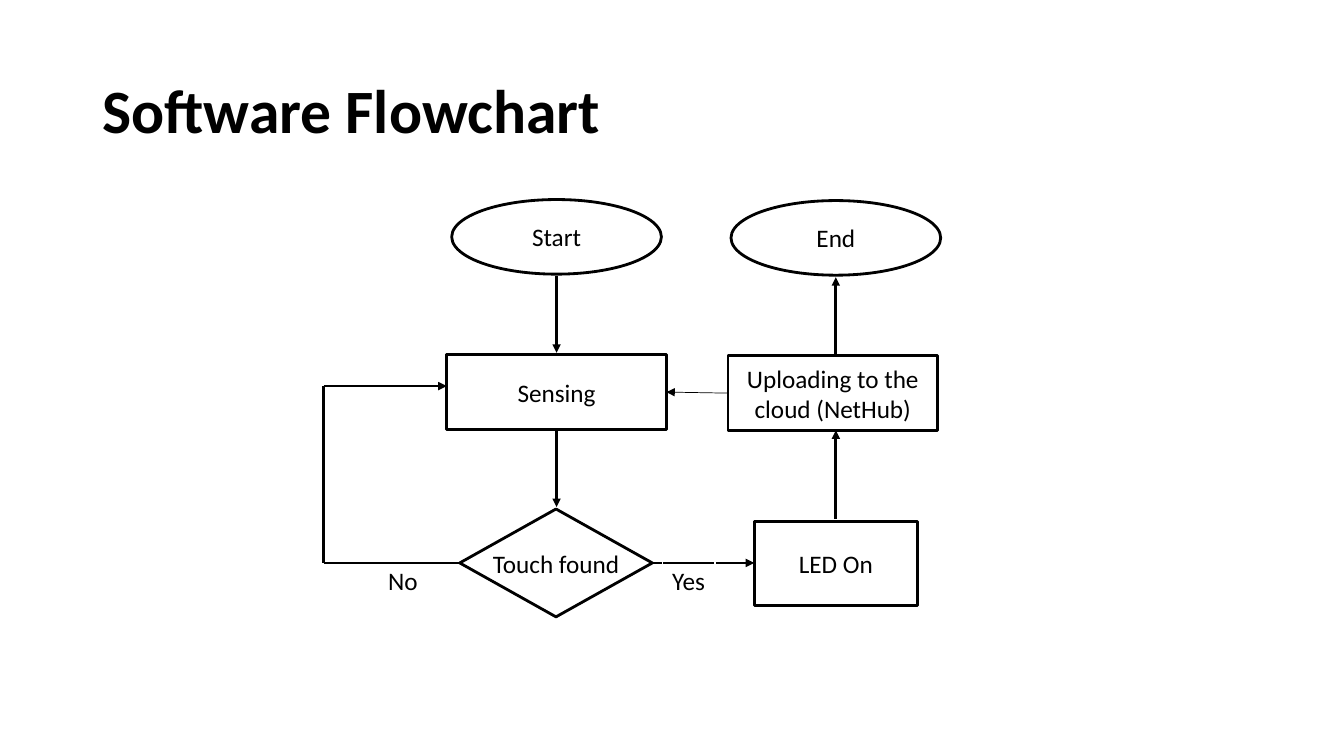
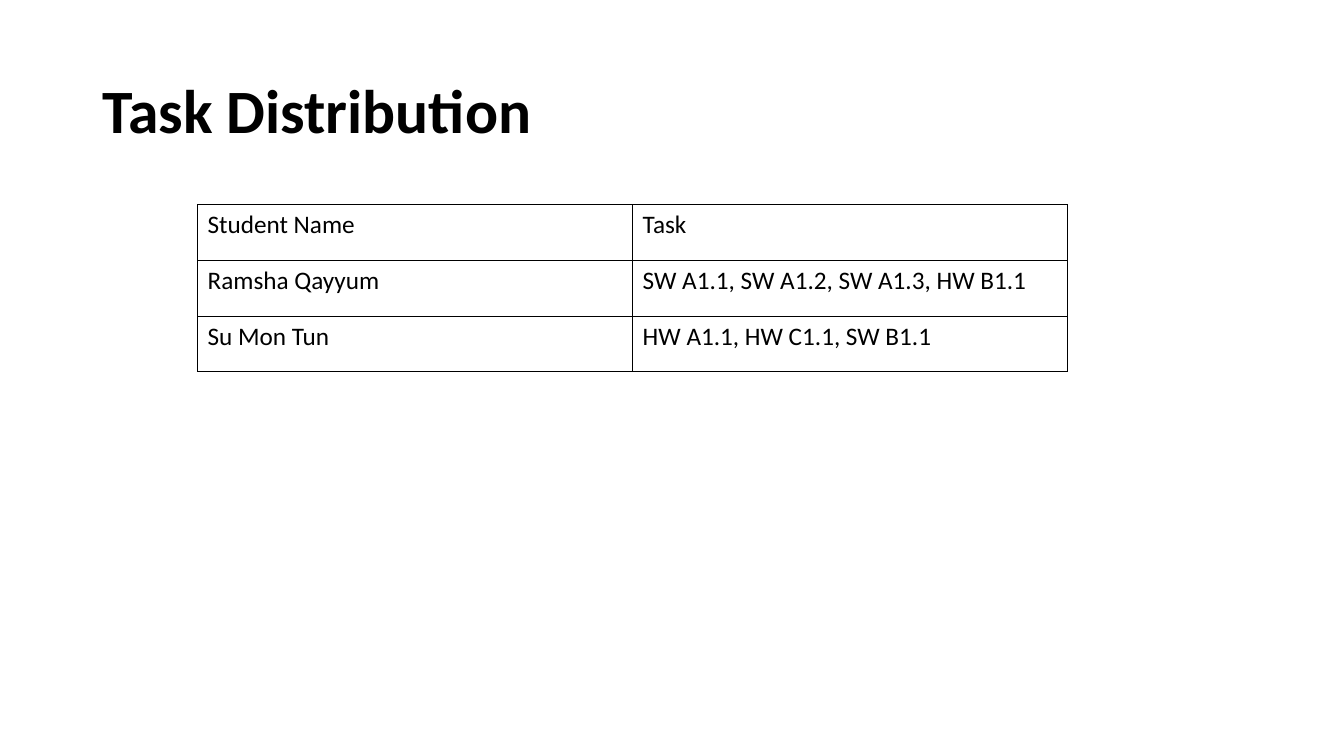
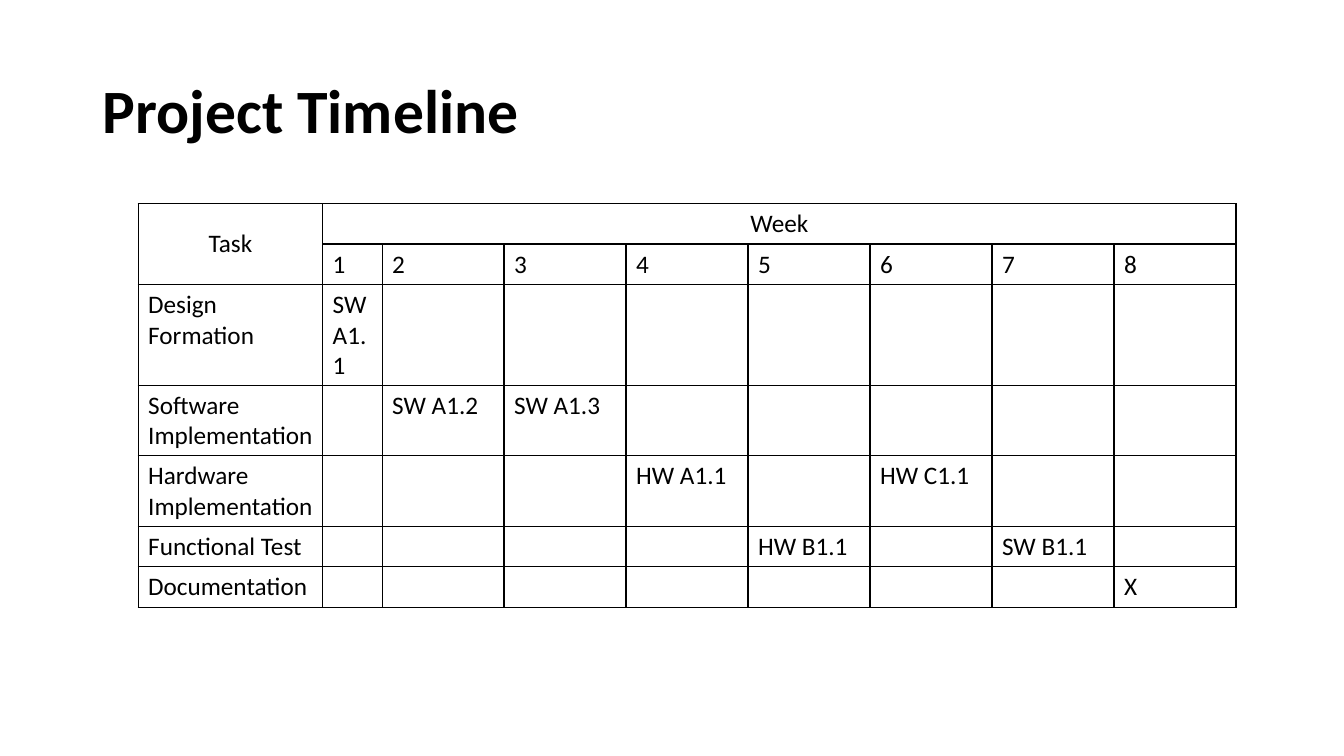
from dataclasses import dataclass

from pptx import Presentation
from pptx.dml.color import RGBColor
from pptx.enum.shapes import MSO_CONNECTOR, MSO_SHAPE
from pptx.enum.text import MSO_ANCHOR, MSO_AUTO_SIZE, PP_ALIGN
from pptx.oxml import parse_xml
from pptx.oxml.ns import nsdecls
from pptx.util import Inches, Pt


@dataclass(frozen=True)
class Theme:
    font: str = "Calibri"
    ink: str = "000000"
    paper: str = "FFFFFF"
    title_size: int = 44
    body_size: int = 18
    outline: float = 2
    border: float = 1
    hairline: float = 0.5
    inset: float = 0.06
    gap: float = 0.02


@dataclass(frozen=True)
class Box:
    left: float
    top: float
    width: float
    height: float

    @property
    def right(self):
        return self.left + self.width

    @property
    def bottom(self):
        return self.top + self.height

    @property
    def center(self):
        return self.left + self.width / 2

    @property
    def middle(self):
        return self.top + self.height / 2

    def inner(self, dx, dy, width, height):
        return Box(self.left + dx, self.top + dy, width, height)

    def emu(self):
        return [Inches(v) for v in (self.left, self.top, self.width, self.height)]


THEME = Theme()
TITLE_BOX = Box(0.92, 0.4, 11.5, 1.45)
FLOW_BOX = Box(3.21, 1.98, 6.12, 4.14)
TASK_BOX = Box(1.96, 2.03, 8.63, 1.66)
TIMELINE_BOX = Box(1.37, 2.02, 10.89, 3.96)


def color(value):
    return RGBColor.from_string(value)


def write(paragraph, text, size=THEME.body_size, bold=False, align=None):
    paragraph.alignment = align
    run = paragraph.add_run()
    run.text = text
    run.font.name = THEME.font
    run.font.size = Pt(size)
    run.font.bold = bold
    run.font.color.rgb = color(THEME.ink)


def add_title(slide, box, text):
    frame = slide.shapes.add_textbox(*box.emu()).text_frame
    frame.word_wrap = True
    frame.vertical_anchor = MSO_ANCHOR.MIDDLE
    heading = frame.paragraphs[0]
    heading.line_spacing = 0.9
    write(heading, text, THEME.title_size, bold=True)


def style_node(node, text, ink=THEME.ink, width=THEME.outline, filled=True):
    node.shadow.inherit = False
    if filled:
        node.fill.solid()
        node.fill.fore_color.rgb = color(THEME.paper)
    else:
        node.fill.background()
    node.line.color.rgb = color(ink)
    node.line.width = Pt(width)
    frame = node.text_frame
    frame.word_wrap = True
    frame.vertical_anchor = MSO_ANCHOR.MIDDLE
    frame.margin_left = frame.margin_right = Inches(THEME.inset)
    frame.margin_top = frame.margin_bottom = Inches(THEME.inset)
    write(frame.paragraphs[0], text, align=PP_ALIGN.CENTER)


def add_node(slide, preset, box, text):
    style_node(slide.shapes.add_shape(preset, *box.emu()), text)


def add_decision(slide, box, text):
    outline = slide.shapes.build_freeform(Inches(box.left), Inches(box.middle))
    corners = [(box.center, box.bottom), (box.right, box.middle), (box.center, box.top)]
    outline.add_line_segments([(Inches(x), Inches(y)) for x, y in corners], close=True)
    style_node(outline.convert_to_shape(), text)


def add_branch_label(slide, box, text):
    label = slide.shapes.add_shape(MSO_SHAPE.RECTANGLE, *box.emu())
    style_node(label, text, THEME.paper, THEME.border, filled=False)
    label.text_frame.auto_size = MSO_AUTO_SIZE.SHAPE_TO_FIT_TEXT


def add_flow(slide, start, end, width=THEME.outline, arrow=True):
    flow = slide.shapes.add_connector(
        MSO_CONNECTOR.STRAIGHT, *[Inches(v) for v in (*start, *end)]
    )
    flow.line.color.rgb = color(THEME.ink)
    flow.line.width = Pt(width)
    properties = flow._element.spPr
    if arrow:
        properties.ln.append(parse_xml(f'<a:tailEnd {nsdecls("a")} type="triangle"/>'))
    properties.append(parse_xml(f'<a:effectLst {nsdecls("a")}/>'))


def add_flowchart(slide, box):
    gap = THEME.gap
    start = box.inner(1.27, 0, 2.08, 0.74)
    sensing = box.inner(1.22, 1.54, 2.18, 0.74)
    touch = box.inner(1.35, 3.07, 1.91, 1.07)
    led = box.inner(4.27, 3.19, 1.62, 0.84)
    upload = box.inner(4.01, 1.55, 2.08, 0.74)
    end = box.inner(4.04, 0.01, 2.08, 0.74)
    loop_end = sensing.middle - 0.06

    add_node(slide, MSO_SHAPE.OVAL, start, "Start")
    add_node(slide, MSO_SHAPE.RECTANGLE, sensing, "Sensing")
    add_decision(slide, touch, "Touch found")
    for upper, lower in ((start, sensing), (sensing, touch)):
        add_flow(slide, (start.center, upper.bottom + gap), (start.center, lower.top - gap))

    add_flow(slide, (touch.right, touch.middle), (led.left, touch.middle))
    add_branch_label(slide, box.inner(3.36, 3.57, 0.52, 0.42), "Yes")
    add_flow(slide, (box.left, touch.middle), (touch.left, touch.middle), arrow=False)
    add_flow(slide, (box.left, loop_end), (box.left, touch.middle), arrow=False)
    add_flow(slide, (box.left, loop_end), (sensing.left, loop_end))

    add_node(slide, MSO_SHAPE.RECTANGLE, led, "LED On")
    add_node(slide, MSO_SHAPE.RECTANGLE, upload, "Uploading to the cloud (NetHub)")
    add_node(slide, MSO_SHAPE.OVAL, end, "End")
    add_branch_label(slide, box.inner(0.46, 3.67, 0.65, 0.22), "No")
    add_flow(slide, (led.center, led.top - gap), (led.center, upload.bottom))
    add_flow(slide, (led.center, upload.top - gap), (led.center, end.bottom + gap))
    add_flow(
        slide,
        (upload.left, upload.middle),
        (sensing.right, sensing.middle),
        THEME.hairline,
    )


def style_cell(cell):
    properties = cell._tc.get_or_add_tcPr()
    for side in ("lnL", "lnR", "lnT", "lnB"):
        properties.append(
            parse_xml(
                f'<a:{side} {nsdecls("a")} w="{Pt(THEME.border)}">'
                f'<a:solidFill><a:srgbClr val="{THEME.ink}"/></a:solidFill></a:{side}>'
            )
        )
    cell.fill.background()


def add_grid(slide, box, widths, heights, entries):
    grid = slide.shapes.add_table(len(heights), len(widths), *box.emu()).table
    grid.first_row = False
    grid.horz_banding = False
    for column, width in zip(grid.columns, widths):
        column.width = Inches(width)
    for row, height in zip(grid.rows, heights):
        row.height = Inches(height)
    for cell in grid.iter_cells():
        style_cell(cell)
    for (row, column), text in entries.items():
        write(grid.cell(row, column).text_frame.paragraphs[0], text)
    return grid


def add_task_table(slide, box):
    rows = [
        ("Student Name", "Task"),
        ("Ramsha Qayyum", "SW A1.1, SW A1.2, SW A1.3, HW B1.1"),
        ("Su Mon Tun", "HW A1.1, HW C1.1, SW B1.1"),
    ]
    entries = {(r, c): text for r, row in enumerate(rows) for c, text in enumerate(row)}
    add_grid(slide, box, [box.width / 2] * 2, [box.height / len(rows)] * len(rows), entries)


def add_timeline(slide, box):
    weeks = 8
    plan = [
        ("Design Formation", {1: "SW A1.1"}),
        ("Software Implementation", {2: "SW A1.2", 3: "SW A1.3"}),
        ("Hardware Implementation", {4: "HW A1.1", 6: "HW C1.1"}),
        ("Functional Test", {5: "HW B1.1", 7: "SW B1.1"}),
        ("Documentation", {8: "X"}),
    ]
    entries = {(0, 0): "Task", (0, 1): "Week"}
    entries.update({(1, week): str(week) for week in range(1, weeks + 1)})
    for row, (stage, tasks) in enumerate(plan, start=2):
        entries[row, 0] = stage
        entries.update({(row, week): task for week, task in tasks.items()})

    stage_width, first_week = 1.83, 0.59
    week_width = (box.width - stage_width - first_week) / (weeks - 1)
    widths = [stage_width, first_week] + [week_width] * (weeks - 1)
    heights = [0.4, 0.4, 0.98, 0.69, 0.69, 0.4, 0.4]
    grid = add_grid(slide, box, widths, heights, entries)
    task_header, week_header = grid.cell(0, 0), grid.cell(0, 1)
    task_header.merge(grid.cell(1, 0))
    week_header.merge(grid.cell(0, weeks))
    task_header.vertical_anchor = MSO_ANCHOR.MIDDLE
    for header in (task_header, week_header):
        header.text_frame.paragraphs[0].alignment = PP_ALIGN.CENTER


def main():
    deck = Presentation()
    deck.slide_width, deck.slide_height = Inches(13.33), Inches(7.5)
    blank = deck.slide_layouts[6]
    pages = [
        ("Software Flowchart", add_flowchart, FLOW_BOX),
        ("Task Distribution", add_task_table, TASK_BOX),
        ("Project Timeline", add_timeline, TIMELINE_BOX),
    ]
    for title, add_content, box in pages:
        slide = deck.slides.add_slide(blank)
        add_title(slide, TITLE_BOX, title)
        add_content(slide, box)
    deck.save("out.pptx")


main()
